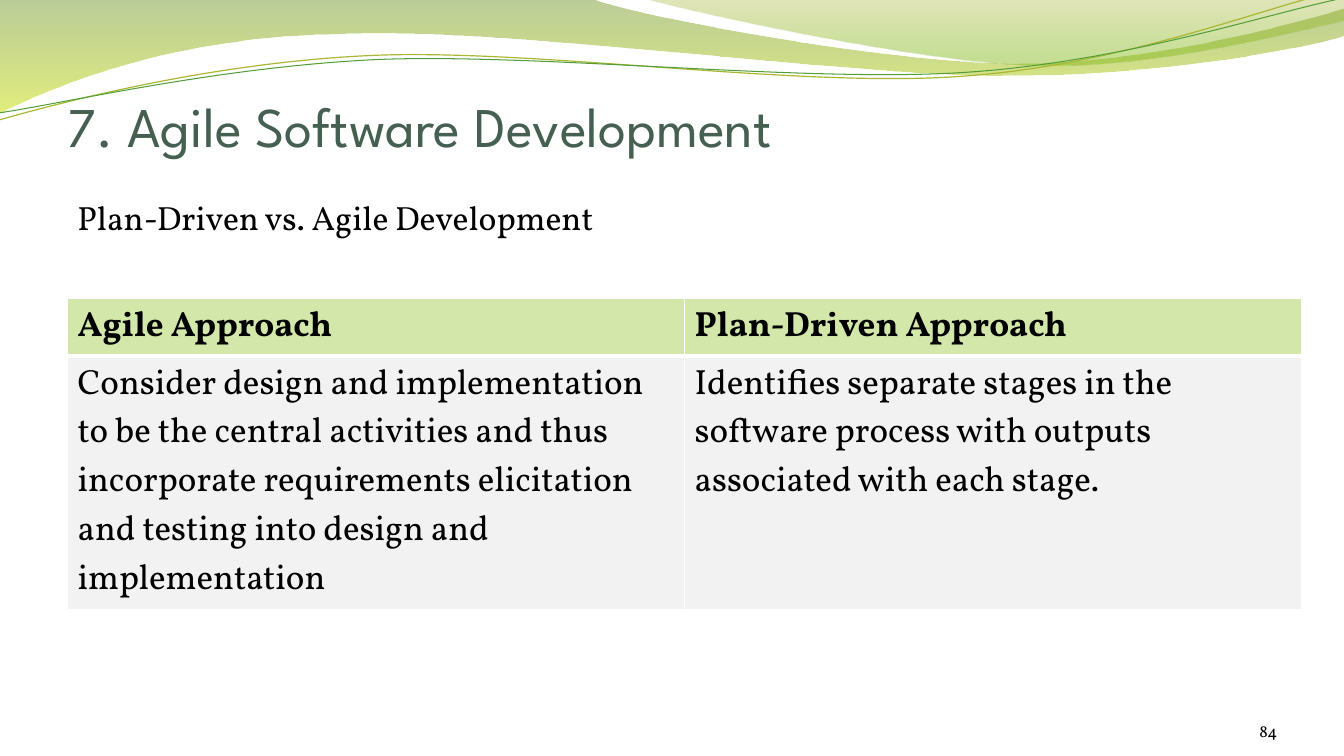
from lxml import etree
from pptx import Presentation
from pptx.dml.color import RGBColor
from pptx.enum.text import MSO_ANCHOR, MSO_AUTO_SIZE, PP_ALIGN
from pptx.oxml.ns import qn
from pptx.util import Inches, Pt

BOTTOM = MSO_ANCHOR.BOTTOM
NO_FIT, GROW = MSO_AUTO_SIZE.NONE, MSO_AUTO_SIZE.SHAPE_TO_FIT_TEXT
LEFT, RIGHT = PP_ALIGN.LEFT, PP_ALIGN.RIGHT
BLACK = RGBColor(0x00, 0x00, 0x00)
SLATE = RGBColor(0x45, 0x5F, 0x51)
HEADER_GREEN = RGBColor(0xD2, 0xE7, 0xA9)
CELL_GRAY = RGBColor(0xF2, 0xF2, 0xF2)
MOSS = RGBColor(0x69, 0x92, 0x1C)
LIME = RGBColor(0xCC, 0xE1, 0x0F)
OLIVE = RGBColor(0x9B, 0xAA, 0x1A)
LEAF = RGBColor(0x81, 0xBA, 0x16)
LINE_OLIVE = RGBColor(0xA9, 0xB7, 0x33)
LINE_GREEN = RGBColor(0x54, 0x9E, 0x39)
MARGIN = 0.67


def write(frame, text, font="Vollkorn", size=24, color=BLACK, bold=False, align=LEFT):
    para = frame.paragraphs[0]
    para.alignment = align
    span = para.add_run()
    span.text = text
    span.font.name = font
    span.font.size = Pt(size)
    span.font.color.rgb = color
    span.font.bold = bold


def draw_wave(shapes, start, segments):
    points = [(Inches(x), Inches(y)) for segment in segments for x, y in segment]
    builder = shapes.build_freeform(Inches(start[0]), Inches(start[1]))
    builder.add_line_segments(points, close=segments[-1][-1] == start)
    wave = builder.convert_to_shape()
    wave.shadow.inherit = False
    steps = iter(list(wave.element.iter(qn("a:lnTo"))))
    for segment in segments:
        knots = [next(steps) for point in segment]
        if len(knots) == 3:
            curve = etree.Element(qn("a:cubicBezTo"))
            knots[0].addprevious(curve)
            for knot in knots:
                curve.append(knot[0])
                knot.getparent().remove(knot)
    return wave


deck = Presentation()
deck.slide_width, deck.slide_height = Inches(13.33), Inches(7.5)
page = deck.slides.add_slide(deck.slide_layouts[5])
title = page.shapes.title

waves = [
    ((0, 0), [
        [(5.87, -0.01)],
        [(6.34, 0.17), (8.84, 0.63), (10.11, 0.63)],
        [(11.37, 0.63), (12.77, 0.26), (13.33, 0.09)],
        [(13.34, 0.36)],
        [(13.11, 0.44), (11.59, 0.76), (9.94, 0.75)],
        [(8.29, 0.75), (5.09, 0.28), (3.43, 0.34)],
        [(1.72, 0.36), (0.61, 0.83), (-0.02, 1.13)],
        [(0, 0)],
    ], [(0, MOSS, 45), (1, LIME, 55)], None),
    ((6.38, -0.01), [
        [(6.79, 0.11), (9.09, 0.62), (10.25, 0.65)],
        [(11.4, 0.69), (12.82, 0.32), (13.33, 0.21)],
        [(13.33, 0)],
        [(6.38, -0.01)],
    ], [(0, OLIVE, 30), (0.8, LEAF, 45)], None),
    ((-0.01, 1.19), [
        [(0.63, 1.01), (2.1, 0.62), (3.69, 0.55)],
        [(5.27, 0.48), (7.89, 0.87), (9.49, 0.76)],
        [(11.1, 0.66), (12.51, 0.08), (13.3, -0.1)],
    ], None, (LINE_OLIVE, 0.85)),
    ((-0.01, 1.12), [
        [(0.62, 1.03), (2.18, 0.66), (3.77, 0.59)],
        [(5.37, 0.53), (7.96, 0.82), (9.55, 0.72)],
        [(11.14, 0.62), (12.55, 0.14), (13.33, -0.02)],
    ], None, (LINE_GREEN, 0.75)),
]
for start, segments, stops, stroke in waves:
    wave = draw_wave(page.shapes, start, segments)
    if stops:
        wave.line.fill.background()
        wave.fill.gradient()
        wave.fill.gradient_angle = 270
        for stop, (position, color, opacity) in zip(wave.fill.gradient_stops, stops):
            stop.position = position
            stop.color.rgb = color
        tints = list(wave.element.iter(qn("a:srgbClr")))
        for tint, (position, color, opacity) in zip(tints, stops):
            etree.SubElement(tint, qn("a:alpha"), val=str(opacity * 1000))
    else:
        wave.fill.background()
        wave.line.color.rgb = stroke[0]
        wave.line.width = Pt(stroke[1])
    title.element.addprevious(wave.element)

title.left, title.top = Inches(MARGIN), Inches(0.77)
title.width, title.height = Inches(12.11), Inches(0.8)
heading = title.text_frame
heading.auto_size = NO_FIT
heading.vertical_anchor = BOTTOM
heading.margin_left = heading.margin_right = heading.margin_bottom = 0
heading.margin_top = Inches(0.05)
write(heading, "7. Agile Software Development", font="League Spartan", size=40, color=SLATE)

number = page.shapes.add_textbox(Inches(11.56), Inches(6.95), Inches(1.11), Inches(0.4)).text_frame
number.word_wrap = True
number.vertical_anchor = BOTTOM
number.margin_left = number.margin_right = number.margin_top = number.margin_bottom = 0
write(number, "84", size=12, align=RIGHT)

rows = [
    ("Agile Approach", "Plan-Driven Approach"),
    ("Consider design and implementation to be the central activities and thus incorporate "
     "requirements elicitation and testing into design and implementation",
     "Identifies separate stages in the software process with outputs associated with each stage."),
]
row_heights = (0.57, 2.52)
table = page.shapes.add_table(2, 2, Inches(MARGIN), Inches(2.96),
                              Inches(12.24), Inches(sum(row_heights))).table
for row, height in zip(table.rows, row_heights):
    row.height = Inches(height)
for row_index, texts in enumerate(rows):
    is_header = row_index == 0
    for column_index, text in enumerate(texts):
        cell = table.cell(row_index, column_index)
        write(cell.text_frame, text, size=25, bold=is_header)
        properties = cell._tc.get_or_add_tcPr()
        for side in ("L", "R", "T", "B"):
            width = 3 if is_header and side == "B" else 1
            border = etree.SubElement(properties, qn(f"a:ln{side}"), w=str(Pt(width)))
            paint = etree.SubElement(border, qn("a:solidFill"))
            etree.SubElement(paint, qn("a:srgbClr"), val="FFFFFF")
        cell.fill.solid()
        cell.fill.fore_color.rgb = HEADER_GREEN if is_header else CELL_GRAY

subtitle = page.shapes.add_textbox(Inches(MARGIN), Inches(1.9), Inches(5.49), Inches(0.5)).text_frame
subtitle.word_wrap = False
subtitle.auto_size = GROW
write(subtitle, "Plan-Driven vs. Agile Development")

deck.save("out.pptx")
